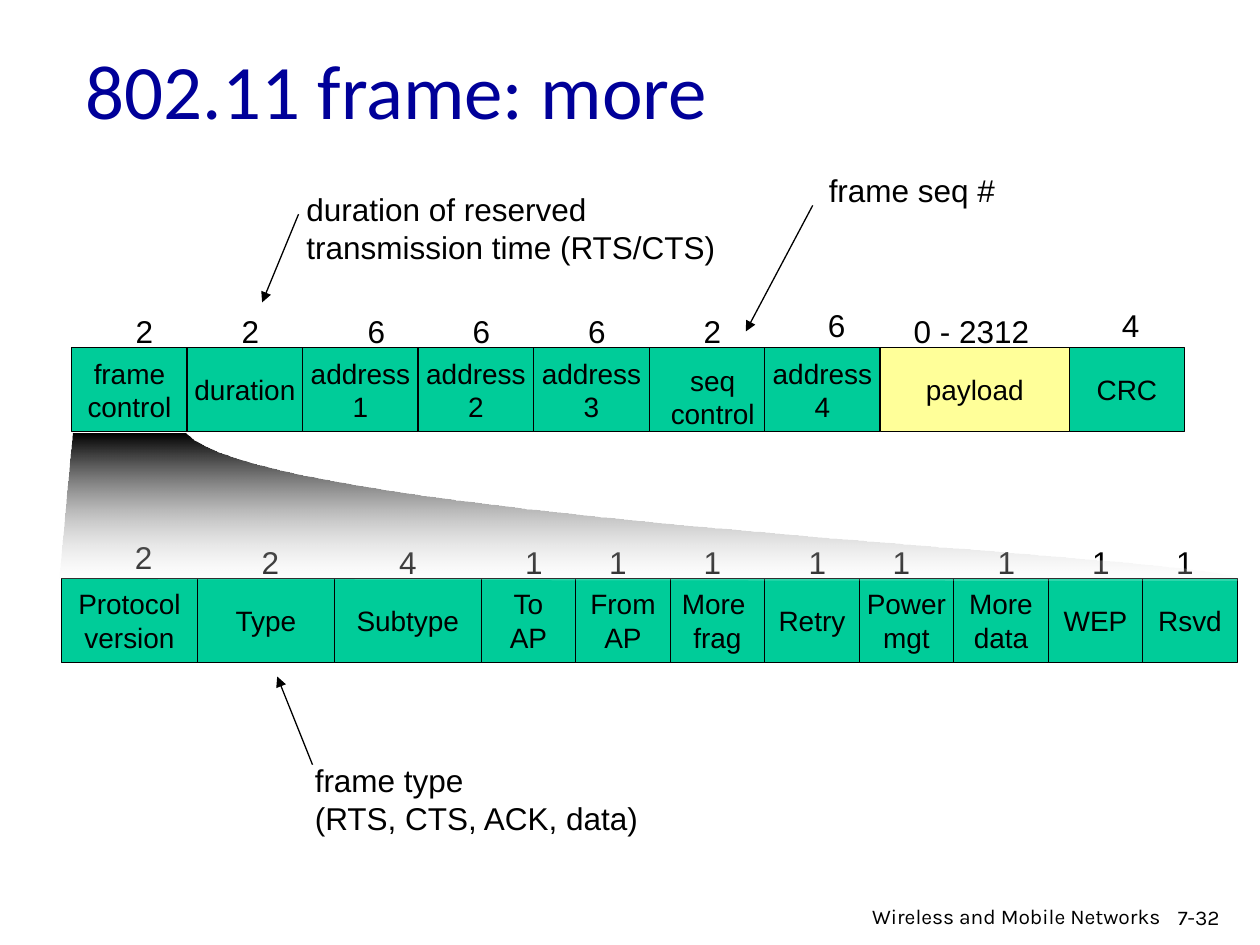
from lxml.etree import SubElement
from pptx import Presentation
from pptx.dml.color import RGBColor as RGB
from pptx.enum.shapes import MSO_CONNECTOR as LINK, MSO_SHAPE as SHAPE
from pptx.enum.text import MSO_ANCHOR as ANCHOR, PP_ALIGN as ALIGN
from pptx.oxml.ns import qn
from pptx.util import Pt

GREEN, YELLOW = "00CC99", "FFFF99"


def paint(target, color):
    """Give a fill or a line fill one solid colour."""
    target.solid()
    target.fore_color.rgb = RGB.from_string(color)


def write(text, x, y, w, h, size=18, font="Arial", color="000000",
          align=ALIGN.LEFT, wrap=False, fill=None, top=3.6):
    """Add text, in an outlined box when a fill is given."""
    area = [Pt(v) for v in (x, y, w, h)]
    if fill:
        shape = shapes.add_shape(SHAPE.RECTANGLE, *area)
        shape.shadow.inherit = False
        paint(shape.fill, fill)
        paint(shape.line.fill, "000000")
        shape.line.width = Pt(0.75)
    else:
        shape = shapes.add_textbox(*area)
    frame = shape.text_frame
    frame.text = text
    frame.word_wrap = wrap
    frame.margin_top = Pt(top)
    frame.vertical_anchor = ANCHOR.MIDDLE if fill else ANCHOR.TOP
    for para in frame.paragraphs:
        para.alignment = align
        para.font.size = Pt(size)
        para.font.name = font
        para.font.color.rgb = RGB.from_string(color)


deck = Presentation()
deck.slide_width, deck.slide_height = Pt(720), Pt(540)
slide = deck.slides.add_slide(deck.slide_layouts[6])
shapes = slide.shapes

# Each field: name, width, size label, label left, label top
frame_row = [
    ("frame\ncontrol", 66, "2", 70.5, 175),
    ("duration", 66, "2", 131, 175),
    ("address\n1", 66, "6", 203, 175),
    ("address\n2", 66, "6", 263, 175),
    ("address\n3", 66, "6", 329, 175),
    ("", 66, "2", 395, 175),
    ("address\n4", 66, "6", 466, 171.5),
    ("payload", 108, "0 - 2312", 515, 175),
    ("CRC", 66, "4", 634, 171.5),
]
control_row = [
    ("Protocol\nversion", 78, "2", 70, 304),
    ("Type", 78, "2", 142.5, 307),
    ("Subtype", 84, "4", 221, 307),
    ("To\nAP", 54, "1", 293, 307),
    ("From\nAP", 54, "1", 341, 307),
    ("More \nfrag", 54, "1", 395, 307),
    ("Retry", 54, "1", 455, 307),
    ("Power\nmgt", 54, "1", 503, 307),
    ("More\ndata", 54, "1", 563, 307),
    ("WEP", 54, "1", 617, 307),
    ("Rsvd", 54, "1", 665, 307),
]
for row, left, top in [(frame_row, 41, 198.7), (control_row, 35, 330.6)]:
    for name, width, count, x, y in row:
        write(name, left, top, width, 48, size=16, align=ALIGN.CENTER,
              fill=YELLOW if name == "payload" else GREEN)
        write(count, x, y, 80.5 if len(count) > 1 else 24.5, 29)
        left += width
write("seq\ncontrol", 376, 204, 62.5, 46, size=16, align=ALIGN.CENTER)

# Fading wedge from frame control to its parts; its right edge is a Bezier curve
curve = [(708, 332), (720, 317.5), (155.5, 299), (106.5, 247.7)]
steps = 40
edge = []
for i in range(steps + 1):
    t = i / steps
    parts = ((1 - t) ** 3, 3 * t * (1 - t) ** 2, 3 * t ** 2 * (1 - t), t ** 3)
    edge.append([Pt(sum(k * p[axis] for k, p in zip(parts, curve)))
                 for axis in (0, 1)])
pen = shapes.build_freeform(Pt(41.8), Pt(247.7))
pen.add_line_segments([(Pt(34), Pt(330.5))] + edge, close=True)
wedge = pen.convert_to_shape()
wedge.shadow.inherit = False
wedge.line.fill.background()
wedge.fill.gradient()
wedge.fill.gradient_angle = 270
for stop, color, place in zip(wedge.fill.gradient_stops, ("000000", "FFFFFF"), (0, 1)):
    stop.color.rgb = RGB.from_string(color)
    stop.position = place
white = wedge.element.findall(".//" + qn("a:srgbClr"))[-1]
SubElement(white, qn("a:alpha"), val="18000")

arrows = [(170.6, 122.4, 149.8, 172.8), (464.4, 117.4, 426.2, 189.4),
          (178.6, 437, 158.4, 386.6)]
for ends in arrows:
    arrow = shapes.add_connector(LINK.STRAIGHT, *[Pt(v) for v in ends])
    paint(arrow.line.fill, "000000")
    arrow.line.width = Pt(0.75)
    SubElement(arrow.line._get_or_add_ln(), qn("a:tailEnd"), type="triangle")
    SubElement(arrow.element.spPr, qn("a:effectLst"))

write("duration of reserved\ntransmission time (RTS/CTS)", 168, 105, 250.5, 51)
write("frame seq #", 466.5, 94.3, 110, 29)
write("frame type\n(RTS, CTS, ACK, data)", 172.8, 431.3, 203, 50.4)
write("802.11 frame: more", 42, 18, 612, 90, size=44, font="Calibri",
      color="000099", wrap=True, top=6.5)
write("7-32", 666, 513.4, 54, 21.6, size=12, font="Karla", wrap=True)
write("Wireless and Mobile Networks ", 460.8, 512.6, 212.4, 20, size=12,
      font="Karla", align=ALIGN.RIGHT, wrap=True)

deck.save("out.pptx")
